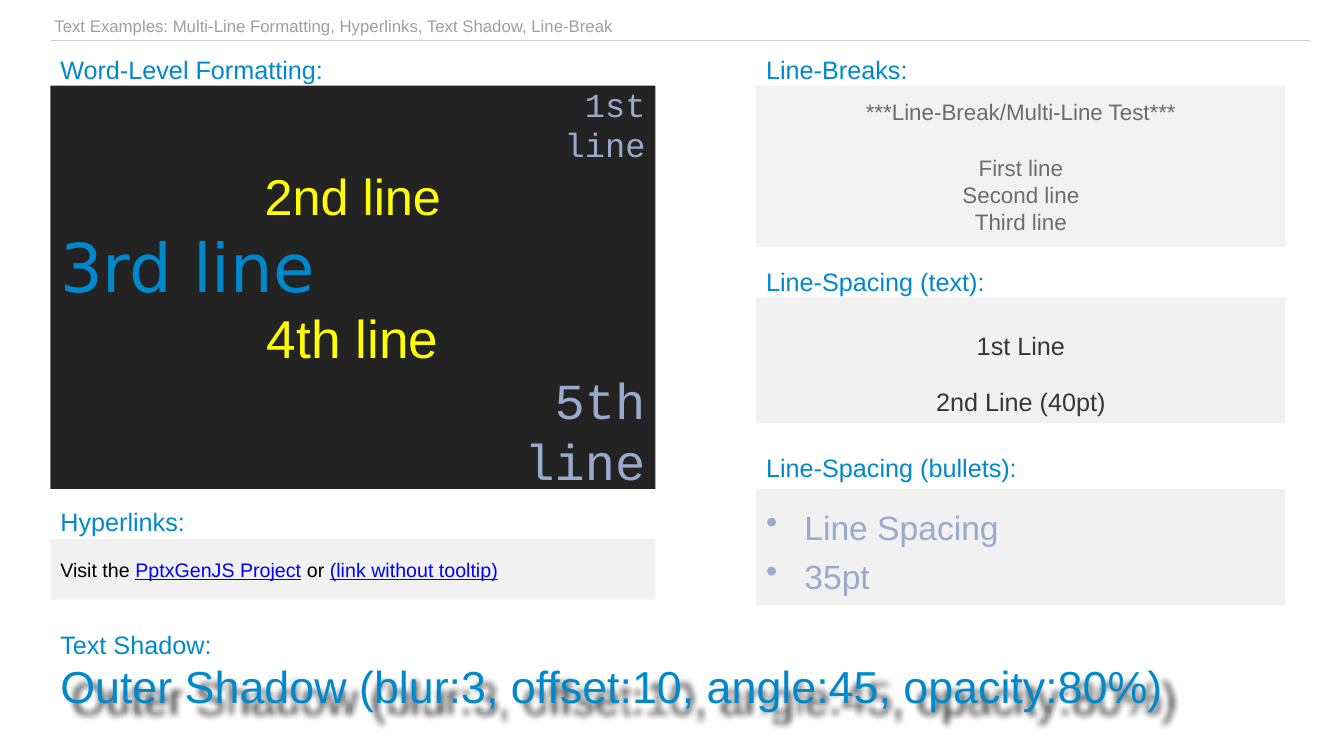
from lxml.etree import SubElement
from pptx import Presentation
from pptx.dml.color import RGBColor
from pptx.enum.shapes import MSO_SHAPE
from pptx.enum.text import MSO_ANCHOR, PP_ALIGN
from pptx.oxml import parse_xml
from pptx.oxml.ns import nsdecls, qn
from pptx.util import Inches, Pt

BLUE = RGBColor(0x00, 0x88, 0xCC)
LINK_BLUE = RGBColor(0x00, 0x00, 0xFF)
PALE_BLUE = RGBColor(0x99, 0xAB, 0xCC)
YELLOW = RGBColor(0xFF, 0xFF, 0x00)
BLACK = RGBColor(0x00, 0x00, 0x00)
CHARCOAL = RGBColor(0x23, 0x23, 0x23)
DARK_GRAY = RGBColor(0x36, 0x36, 0x36)
MID_GRAY = RGBColor(0x6C, 0x6C, 0x6C)
TITLE_GRAY = RGBColor(0x9F, 0x9F, 0x9F)
PANEL_GRAY = RGBColor(0xF1, 0xF1, 0xF1)
BREAKS_GRAY = RGBColor(0xF2, 0xF2, 0xF2)

LEFT, RIGHT = 0.5, 7.5


def style_run(run, size, color, font="Arial"):
    run.font.size = Pt(size)
    run.font.name = font
    run.font.color.rgb = color


def write_lines(frame, lines, size, color, align=PP_ALIGN.LEFT, spacing=None):
    """Fill a text frame with equally formatted paragraphs."""
    frame.text = "\n".join(lines)
    for paragraph in frame.paragraphs:
        paragraph.alignment = align
        if spacing:
            paragraph.line_spacing = Pt(spacing)
        style_run(paragraph.runs[0], size, color)


def add_label(slide, text, left, top, width=5.33, height=0.38, size=18):
    label = slide.shapes.add_textbox(
        Inches(left), Inches(top), Inches(width), Inches(height))
    label.text_frame.word_wrap = True
    label.text_frame.vertical_anchor = MSO_ANCHOR.MIDDLE
    write_lines(label.text_frame, [text], size, BLUE)
    return label


def add_panel(slide, left, top, width, height, color=PANEL_GRAY):
    panel = slide.shapes.add_shape(
        MSO_SHAPE.RECTANGLE,
        Inches(left), Inches(top), Inches(width), Inches(height))
    panel.shadow.inherit = False
    panel.fill.solid()
    panel.fill.fore_color.rgb = color
    panel.line.fill.background()
    panel.text_frame.word_wrap = True
    panel.text_frame.vertical_anchor = MSO_ANCHOR.MIDDLE
    return panel.text_frame


def add_title_table(slide, text):
    table = slide.shapes.add_table(
        1, 1, Inches(0.5), Inches(0.13), Inches(12.5), Inches(0.27)).table
    table.first_row = False
    table.horz_banding = False
    cell = table.cell(0, 0)
    cell.fill.background()
    cell.margin_left = cell.margin_right = Inches(0.04)
    cell.margin_top = cell.margin_bottom = Inches(0.04)
    write_lines(cell.text_frame, [text], 12, TITLE_GRAY)
    # Rule under the title
    cell._tc.get_or_add_tcPr().insert(0, parse_xml(
        f'<a:lnB {nsdecls("a")} w="12700"><a:solidFill>'
        '<a:srgbClr val="CFCFCF"/></a:solidFill></a:lnB>'))


def add_outer_shadow(shape):
    shape._element.spPr.append(parse_xml(
        f'<a:effectLst {nsdecls("a")}>'
        '<a:outerShdw blurRad="38100" dist="127000" dir="2700000">'
        '<a:srgbClr val="000000"><a:alpha val="80000"/></a:srgbClr>'
        '</a:outerShdw></a:effectLst>'))


def add_bullets(frame):
    for paragraph in frame.paragraphs:
        properties = paragraph._p.get_or_add_pPr()
        properties.set("marL", str(Inches(0.38)))
        properties.set("indent", str(-Inches(0.38)))
        SubElement(properties, qn("a:buChar"), char="•")


def add_word_formatting(slide):
    add_label(slide, "Word-Level Formatting:", LEFT, 0.5)
    frame = add_panel(slide, LEFT, 0.85, 6, 4, CHARCOAL)
    lines = [
        ("1st", 24, PALE_BLUE, "Courier New", PP_ALIGN.RIGHT),
        ("line", 24, PALE_BLUE, "Courier New", PP_ALIGN.RIGHT),
        ("2nd line", 36, YELLOW, "Arial", PP_ALIGN.CENTER),
        ("3rd line", 48, BLUE, "DejaVu Sans", PP_ALIGN.LEFT),
        ("4th line", 38, YELLOW, "Arial", PP_ALIGN.CENTER),
        ("5th", 36, PALE_BLUE, "Courier New", PP_ALIGN.RIGHT),
        ("line", 36, PALE_BLUE, "Courier New", PP_ALIGN.RIGHT),
    ]
    frame.text = "\n".join(line[0] for line in lines)
    for paragraph, (_, size, color, font, align) in zip(frame.paragraphs, lines):
        paragraph.alignment = align
        style_run(paragraph.runs[0], size, color, font)


def add_hyperlinks(slide):
    add_label(slide, "Hyperlinks:", LEFT, 5, 1.75, 0.35)
    sentence = add_panel(slide, LEFT, 5.35, 6, 0.6).paragraphs[0]
    sentence.alignment = PP_ALIGN.LEFT
    for text, is_link in [("Visit the ", False), ("PptxGenJS Project", True),
                          (" or ", False), ("(link without tooltip)", True)]:
        run = sentence.add_run()
        run.text = text
        style_run(run, 14, LINK_BLUE if is_link else BLACK)
        run.font.underline = is_link


def add_line_breaks(slide):
    add_label(slide, "Line-Breaks:", RIGHT, 0.5)
    frame = add_panel(slide, RIGHT, 0.85, 5.25, 1.6, BREAKS_GRAY)
    write_lines(frame, ["***Line-Break/Multi-Line Test***", "First line",
                        "Second line", "Third line"],
                16, MID_GRAY, PP_ALIGN.CENTER)
    frame.paragraphs[1].space_before = Pt(21)


def add_line_spacing(slide):
    add_label(slide, "Line-Spacing (text):", RIGHT, 2.6)
    frame = add_panel(slide, RIGHT, 2.95, 5.25, 1.25)
    write_lines(frame, ["1st Line", "2nd Line (40pt)"],
                18, DARK_GRAY, PP_ALIGN.CENTER, spacing=40)

    add_label(slide, "Line-Spacing (bullets):", RIGHT, 4.45)
    frame = add_panel(slide, RIGHT, 4.85, 5.25, 1.15)
    write_lines(frame, ["Line Spacing", "35pt"], 24, PALE_BLUE, spacing=35)
    add_bullets(frame)


def main():
    deck = Presentation()
    deck.slide_width, deck.slide_height = Inches(13.33), Inches(7.5)
    slide = deck.slides.add_slide(deck.slide_layouts[6])

    add_title_table(slide, "Text Examples: Multi-Line Formatting, Hyperlinks, "
                           "Text Shadow, Line-Break")

    # Left column
    add_word_formatting(slide)
    add_hyperlinks(slide)

    # Text shadow across the bottom
    add_label(slide, "Text Shadow:", LEFT, 6.2, 6.67)
    shadowed = add_label(
        slide, "Outer Shadow (blur:3, offset:10, angle:45, opacity:80%)",
        LEFT, 6.5, 12, 0.6, 32)
    add_outer_shadow(shadowed)

    # Right column
    add_line_breaks(slide)
    add_line_spacing(slide)

    deck.save("out.pptx")


if __name__ == "__main__":
    main()
